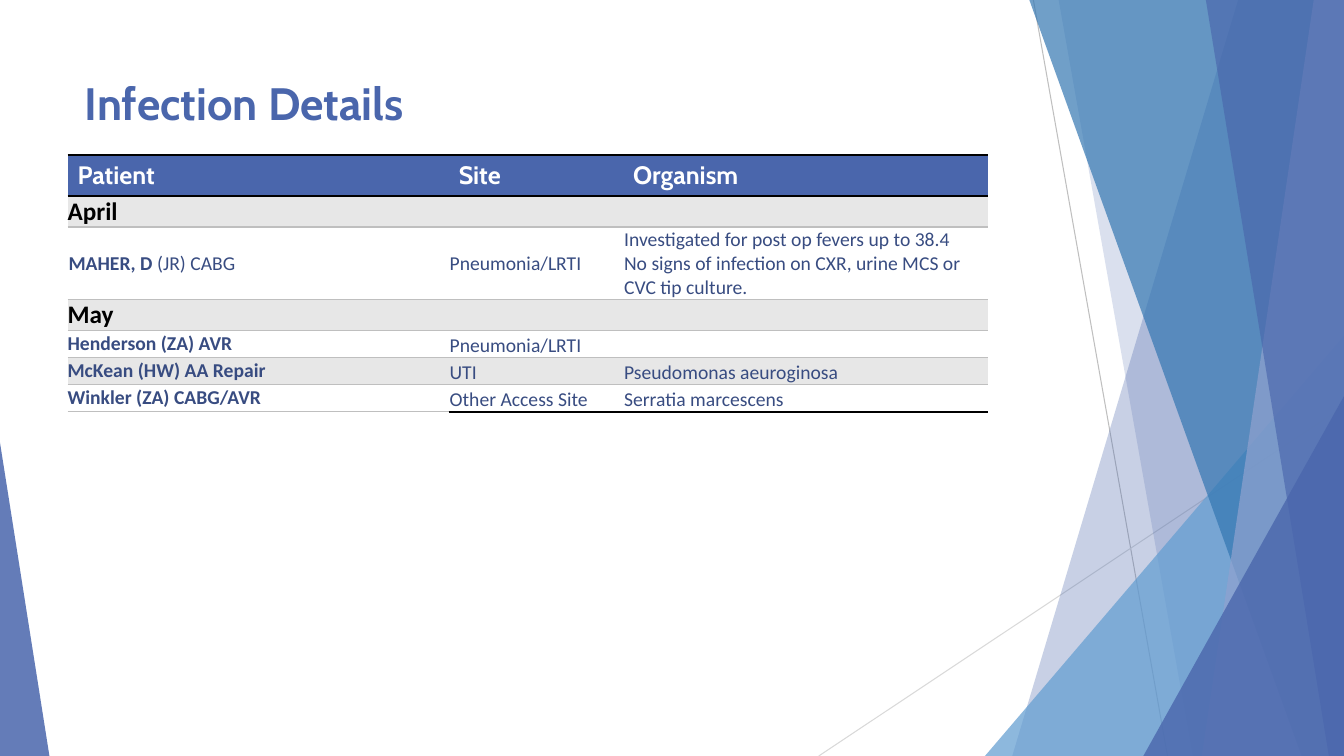
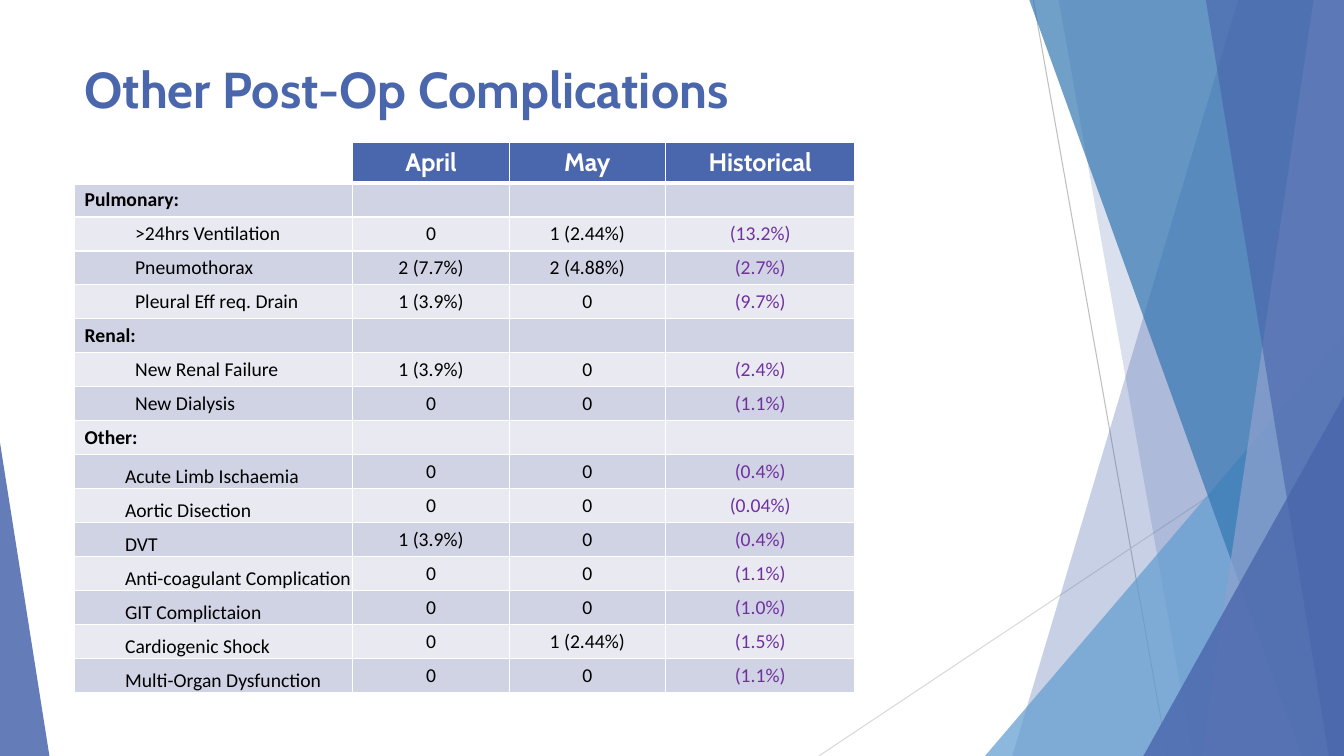
import lxml.etree
import pptx
import pptx.dml.color
import pptx.enum.shapes
import pptx.enum.text
import pptx.oxml.ns
import pptx.util

Inches, Pt, qn = pptx.util.Inches, pptx.util.Pt, pptx.oxml.ns.qn
ALIGN, ANCHOR = pptx.enum.text.PP_ALIGN, pptx.enum.text.MSO_ANCHOR

BLUE, NAVY, PURPLE = "4A66AC", "384C81", "7030A0"
BLACK, WHITE, GREY, RULE = "000000", "FFFFFF", "E7E7E7", "BFBFBF"
STRIPES = ["E9EAF1", "D0D3E3"]
HEADING, BODY = "Cabin", "Calibri"
NO_GRID_STYLE = "{2D5ABB26-0587-4C30-8999-92F81FD0307C}"


def paint(fill, colour):
    fill.solid()
    fill.fore_color.rgb = pptx.dml.color.RGBColor.from_string(colour)


def style_cell(cell, fill, borders, size=14, font=BODY, colour=BLACK, bold=False,
               align=ALIGN.LEFT, anchor=ANCHOR.MIDDLE, margins=None, indent=0):
    """Format a filled-in cell; borders maps L, R, T, B to (colour, points)."""
    properties = cell._tc.get_or_add_tcPr()
    for side in "LRTB":
        if side in borders:
            line_colour, points = borders[side]
            line = lxml.etree.SubElement(properties, qn("a:ln" + side), w=str(Pt(points)))
            solid = lxml.etree.SubElement(line, qn("a:solidFill"))
            lxml.etree.SubElement(solid, qn("a:srgbClr"), val=line_colour)
    if fill:
        paint(cell.fill, fill)
    cell.vertical_anchor = anchor
    if margins is not None:
        cell.margin_left = cell.margin_top = cell.margin_right = Inches(margins)
        cell.margin_bottom = 0
    for para in cell.text_frame.paragraphs:
        para.alignment = align
        if indent:
            para._p.get_or_add_pPr().set("marL", str(Inches(indent)))
        for span in para.runs:
            span.font.size, span.font.name, span.font.bold = Pt(size), font, bold
            paint(span.font.fill, colour)
        if not para.runs:
            # An empty cell takes its height from the end-of-paragraph size
            lxml.etree.SubElement(para._p, qn("a:endParaRPr"), sz=str(size * 100))


deck = pptx.Presentation()
deck.slide_width, deck.slide_height = Inches(13.33), Inches(7.5)
WIDTH, HEIGHT = deck.slide_width, deck.slide_height
across, down = WIDTH / 100, HEIGHT / 100  # one percent of the slide

# Pages: title, title top, title height, title size, table left, table top, columns, rows
layouts = [
    ("Infection Details", 0.67, 0.69, 32.4, 0.67, 1.54,
     [3.78, 1.73, 3.62], [0.4, 0.3, 0.72, 0.3] + [0.27] * 3),
    ("Other Post-Op Complications", 0.49, 0.77, 36, 0.74, 1.41,
     [2.76, 1.55, 1.55, 1.88], [0.4] + [0.33] * 15),
]
pages, tables = [], []
for title, title_top, title_height, size, left, top, columns, rows in layouts:
    page = deck.slides.add_slide(deck.slide_layouts[5])
    box = page.shapes.title
    box.left, box.top = Inches(0.74), Inches(title_top)
    box.width, box.height = Inches(9.4), Inches(title_height)
    frame = box.text_frame
    frame.text = title
    frame.word_wrap = True
    frame.auto_size = pptx.enum.text.MSO_AUTO_SIZE.NONE
    frame.vertical_anchor = ANCHOR.MIDDLE
    frame.paragraphs[0].alignment = ALIGN.LEFT
    font = frame.paragraphs[0].runs[0].font
    font.size, font.name, font.bold = Pt(size), HEADING, True
    paint(font.fill, BLUE)

    holder = page.shapes.add_table(len(rows), len(columns), Inches(left), Inches(top),
                                   Inches(sum(columns)), Inches(sum(rows)))
    next(holder.element.iter(qn("a:tableStyleId"))).text = NO_GRID_STYLE
    table = holder.table
    table.horz_banding = False
    for column, width in zip(table.columns, columns):
        column.width = Inches(width)
    for row, height in zip(table.rows, rows):
        row.height = Inches(height)
    pages.append(page)
    tables.append(table)

# Shared backdrop: hairlines, in percent of the slide
backdrop = []
shapes = pages[0].shapes
for x1, y1, x2, y2, colour in [(76.89, 0, 86.87, 100, RULE),
                               (100, 53.73, 60.92, 100, "D9D9D9")]:
    hairline = shapes.add_connector(
        pptx.enum.shapes.MSO_CONNECTOR.STRAIGHT,
        int(x1 * across), int(y1 * down), int(x2 * across), int(y2 * down))
    hairline.line.width = Pt(0.75)
    paint(hairline.line.fill, colour)
    lxml.etree.SubElement(hairline.element.spPr, qn("a:effectLst"))
    backdrop.append(hairline)

# Shared backdrop: bands (top x, bottom x) reach the right edge,
# triangles (left, width, top, apex) stand on the bottom edge
facets = [
    ("band", (92.12, 75.32), BLUE, 30),
    ("band", (78.77, 88.75), BLUE, 20),
    ("triangle", (73.29, 26.71, 44.4, 1), "629DD1", 72),
    ("band", (76.59, 96.85), "3477B2", 70),
    ("band", (97.75, 89.42), "90A2CF", 70),
    ("band", (89.72, 98.87), BLUE, 65),
    ("triangle", (85.07, 14.93, 52.4, 1), BLUE, 80),
    ("triangle", (0, 3.68, 58.53, 0), BLUE, 85),
]
for kind, numbers, colour, opacity in facets:
    if kind == "band":
        top_x, bottom_x = (int(number * across) for number in numbers)
        outline = shapes.build_freeform(top_x, 0)
        outline.add_line_segments([(WIDTH, 0), (WIDTH, HEIGHT), (bottom_x, HEIGHT)])
        facet = outline.convert_to_shape()
    else:
        left, width, top, apex = numbers
        facet = shapes.add_shape(
            pptx.enum.shapes.MSO_SHAPE.ISOSCELES_TRIANGLE, int(left * across),
            int(top * down), int(width * across), int((100 - top) * down))
        facet.adjustments[0] = apex
    facet.shadow.inherit = False
    paint(facet.fill, colour)
    facet.line.fill.background()
    tint = next(facet.element.spPr.iter(qn("a:srgbClr")))
    lxml.etree.SubElement(tint, qn("a:alpha"), val=str(opacity * 1000))
    backdrop.append(facet)

# The backdrop belongs to the slide master, under numbers of its own
for number, shape in enumerate(backdrop, start=100):
    next(shape.element.iter(qn("p:cNvPr"))).set("id", str(number))
    deck.slide_master.shapes.element.append(shape.element)

# Infection table
infections = [
    ("Patient", "Site", "Organism"),
    ("April", "", ""),
    ("MAHER, D", "Pneumonia/LRTI",
     "Investigated for post op fevers up to 38.4\n"
     "No signs of infection on CXR, urine MCS or CVC tip culture."),
    ("May", "", ""),
    ("Henderson (ZA) AVR", "Pneumonia/LRTI", ""),
    ("McKean (HW) AA Repair", "UTI", "Pseudomonas aeuroginosa"),
    ("Winkler (ZA) CABG/AVR", "Other Access Site", "Serratia marcescens"),
]
months, shaded = (1, 3), (1, 3, 5)
heavy, light = (BLACK, 2), (RULE, 1)
table = tables[0]
for r, texts in enumerate(infections):
    for c, text in enumerate(texts):
        cell = table.cell(r, c)
        cell.text_frame.text = text
        if r == 0:
            style_cell(cell, BLUE, {"T": heavy, "B": heavy}, 18, HEADING, WHITE, True)
            continue
        last = r == len(infections) - 1 and c > 0
        borders = {"T": heavy if r == 1 else light, "B": heavy if last else light}
        fill = GREY if r in shaded else WHITE
        if r in months:
            style_cell(cell, fill, borders, 18, bold=True, margins=0)
            continue
        if text == "MAHER, D":
            cell.text_frame.paragraphs[0].add_run().text = " (JR) CABG"
        low = c == 2 or (c == 1 and r > 3)
        style_cell(cell, fill, borders, colour=NAVY, bold=c == 0,
                   anchor=ANCHOR.BOTTOM if low else ANCHOR.MIDDLE,
                   margins=0.01 if c or r == 2 else 0)
for r in months:
    table.cell(r, 0).merge(table.cell(r, 2))
table.cell(2, 0).text_frame.paragraphs[0].runs[1].font.bold = False

# Complications table
complications = [
    ("", "April", "May", "Historical"),
    ("Pulmonary:", "", "", ""),
    (">24hrs Ventilation", "0", "1 (2.44%)", "(13.2%)"),
    ("Pneumothorax", "2 (7.7%)", "2 (4.88%)", "(2.7%)"),
    ("Pleural Eff req. Drain", "1 (3.9%)", "0", "(9.7%)"),
    ("Renal:", "", "", ""),
    ("New Renal Failure", "1 (3.9%)", "0", "(2.4%)"),
    ("New Dialysis", "0", "0", "(1.1%)"),
    ("Other:", "", "", ""),
    ("Acute Limb Ischaemia", "0", "0", "(0.4%)"),
    ("Aortic Disection", "0", "0", "(0.04%)"),
    ("DVT", "1 (3.9%)", "0", "(0.4%)"),
    ("Anti-coagulant Complication", "0", "0", "(1.1%)"),
    ("GIT Complictaion", "0", "0", "(1.0%)"),
    ("Cardiogenic Shock", "0", "1 (2.44%)", "(1.5%)"),
    ("Multi-Organ Dysfunction", "0", "0", "(1.1%)"),
]
other_row = 8
for r, texts in enumerate(complications):
    for c, text in enumerate(texts):
        cell = tables[1].cell(r, c)
        cell.text_frame.text = text
        borders = dict.fromkeys("LRTB", (WHITE, 1))
        if r < 2:
            borders["B" if r == 0 else "T"] = (WHITE, 3)
        if r == 0:
            style_cell(cell, BLUE if c else None, borders, 18, HEADING, WHITE, True,
                       ALIGN.CENTER)
        elif c:
            style_cell(cell, STRIPES[r % 2], borders, align=ALIGN.CENTER,
                       colour=PURPLE if c == 3 else BLACK)
        else:
            group = text.endswith(":")
            low = r > other_row
            style_cell(cell, STRIPES[r % 2], borders, bold=group,
                       anchor=ANCHOR.BOTTOM if low else ANCHOR.MIDDLE,
                       margins=0 if low else None, indent=0 if group else 0.5)

deck.save("out.pptx")
